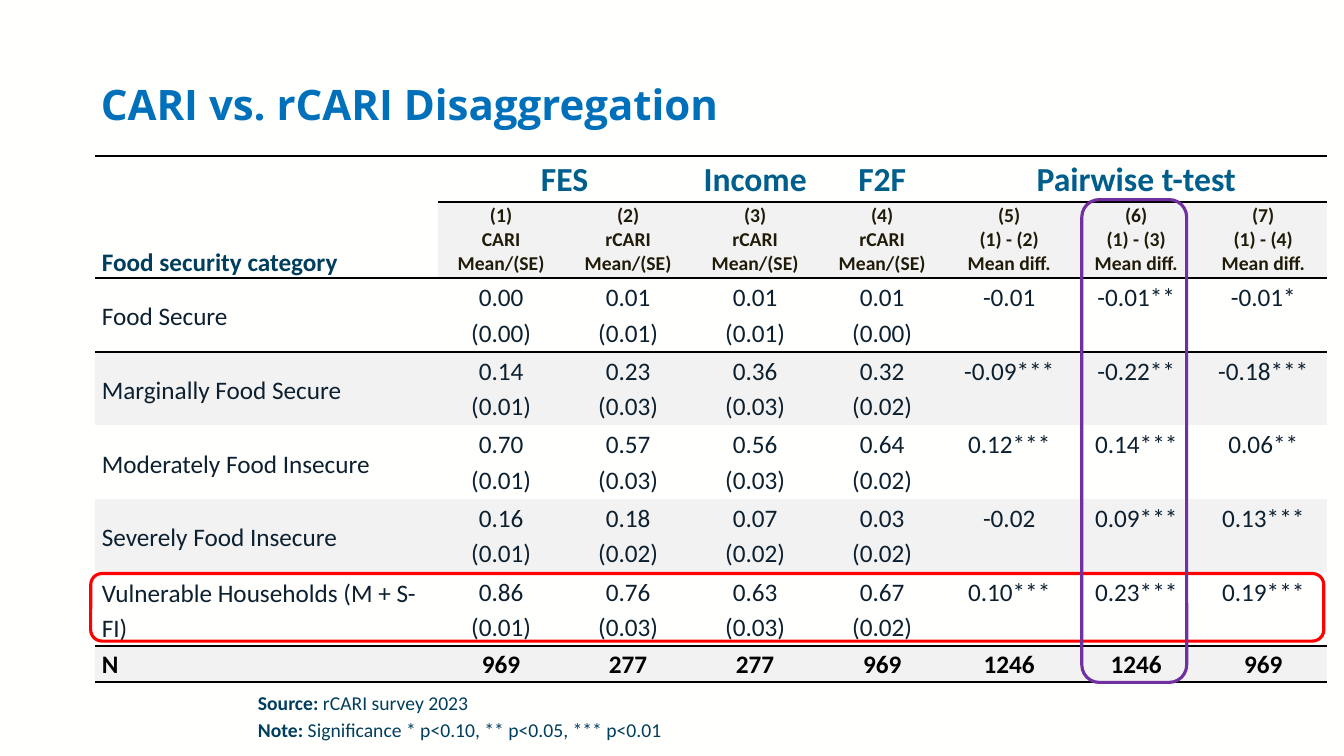
from lxml import etree
from pptx import Presentation
from pptx import util as u
from pptx.dml import color as dml
from pptx.enum import shapes, text
from pptx.oxml import ns

HUES = {"page": "FFFFFE", "title": "0070BA", "navy": "003E5E", "group": "005E8D",
        "head": "211B09", "body": "0D2030", "ink": "000000", "band": "F2F2F2",
        "red": "FF0000", "plum": "7030A0"}
PLAIN = "{2D5ABB26-0587-4C30-8999-92F81FD0307C}"
MID, TOP, LOW = text.MSO_ANCHOR.MIDDLE, text.MSO_ANCHOR.TOP, text.MSO_ANCHOR.BOTTOM
LEFT, MIDST, FULL = text.PP_ALIGN.LEFT, text.PP_ALIGN.CENTER, text.PP_ALIGN.JUSTIFY
WIDTHS = [3.4] + [1.26] * 7
HEIGHTS = [0.45, 0.76] + [0.73] * 5 + [0.36]
GROUPS = [("FES", 1, 2), ("Income", 3, 3), ("F2F", 4, 4), ("Pairwise t-test", 5, 7)]
HEADS = ["CARI"] + ["rCARI"] * 3 + ["(1) - (2)", "(1) - (3)", "(1) - (4)"]
ROWS = [
    ("Food Secure", ["0.00", "0.01", "0.01", "0.01"],
     ["(0.00)", "(0.01)", "(0.01)", "(0.00)"], ["-0.01", "-0.01**", "-0.01*"]),
    ("Marginally Food Secure", ["0.14", "0.23", "0.36", "0.32"],
     ["(0.01)", "(0.03)", "(0.03)", "(0.02)"], ["-0.09***", "-0.22**", "-0.18***"]),
    ("Moderately Food Insecure", ["0.70", "0.57", "0.56", "0.64"],
     ["(0.01)", "(0.03)", "(0.03)", "(0.02)"], ["0.12***", "0.14***", "0.06**"]),
    ("Severely Food Insecure", ["0.16", "0.18", "0.07", "0.03"],
     ["(0.01)", "(0.02)", "(0.02)", "(0.02)"], ["-0.02", "0.09***", "0.13***"]),
    ("Vulnerable Households (M + S-FI)", ["0.86", "0.76", "0.63", "0.67"],
     ["(0.01)", "(0.03)", "(0.03)", "(0.02)"], ["0.10***", "0.23***", "0.19***"]),
]
TOTALS = ["N", "969", "277", "277", "969", "1246", "1246", "969"]
NOTES = [("Source:", " rCARI survey 2023"),
         ("Note:", " Significance * p<0.10, ** p<0.05, *** p<0.01")]


def tint(name):
    """Return the named colour."""
    return dml.RGBColor.from_string(HUES[name])


def put(para, words, size, hue, bold=False, face="Calibri"):
    """Add one formatted run to a paragraph."""
    run = para.add_run()
    run.text = words
    font = run.font
    font.size, font.bold, font.name = u.Pt(size), bold, face
    font.color.rgb = tint(hue)


def rule(cell, side, kind="sng"):
    """Draw a black border on one side of a cell."""
    edge = etree.SubElement(cell._tc.get_or_add_tcPr(), ns.qn("a:ln" + side),
                            w=str(u.Pt(1.5)), cmpd=kind)
    fill = etree.SubElement(edge, ns.qn("a:solidFill"))
    etree.SubElement(fill, ns.qn("a:srgbClr"), val=HUES["ink"])


def write(cell, lines, size, hue, bold=False, align=MIDST, anchor=MID, space=1.15, after=0):
    """Fill a cell with one paragraph for each line."""
    cell.vertical_anchor = anchor
    frame = cell.text_frame
    for i, line in enumerate(lines):
        para = frame.add_paragraph() if i else frame.paragraphs[0]
        para.alignment, para.line_spacing = align, space
        if after:
            para.space_after = u.Pt(after)
        put(para, line, size, hue, bold)


def shade(grid):
    """Set the margins, borders and band fill of every cell."""
    last = len(HEIGHTS) - 1
    for r in range(len(HEIGHTS)):
        for c in range(len(WIDTHS)):
            cell = grid.cell(r, c)
            cell.margin_left = cell.margin_right = u.Inches(0.07)
            cell.margin_top = cell.margin_bottom = 0
            if r in (0, 2, last) or (r == 1 and c):
                rule(cell, "T", "dbl" if r == last else "sng")
            if r in (1, last - 1, last) or (r == 0 and c):
                rule(cell, "B", "dbl" if r == last - 1 else "sng")
            if r % 2 and (r > 1 or c):
                cell.fill.solid()
                cell.fill.fore_color.rgb = tint("band")
            else:
                cell.fill.background()


def draw_table(slide, x, y):
    """Build the table of means and tests."""
    frame = slide.shapes.add_table(len(HEIGHTS), len(WIDTHS), u.Inches(x), u.Inches(y),
                                   u.Inches(sum(WIDTHS)), u.Inches(sum(HEIGHTS)))
    grid = frame.table
    grid.first_row = grid.horz_banding = False
    grid._tbl.tblPr.find(ns.qn("a:tableStyleId")).text = PLAIN
    for col, wide in zip(grid.columns, WIDTHS):
        col.width = u.Inches(wide)
    for row, tall in zip(grid.rows, HEIGHTS):
        row.height = u.Inches(tall)
    shade(grid)
    grid.cell(0, 0).merge(grid.cell(1, 0))
    write(grid.cell(0, 0), ["Food security category"], 18, "navy", True, LEFT, LOW)
    for label, start, end in GROUPS:
        cell = grid.cell(0, start)
        if end > start:
            cell.merge(grid.cell(0, end))
        write(cell, [label], 24, "group", True, space=1.07, after=8)
    for c, head in enumerate(HEADS, 1):
        stat = "Mean/(SE)" if c < 5 else "Mean diff."
        write(grid.cell(1, c), [f"({c})", head, stat], 14, "head", True, space=1.0)
    for r, (label, means, errors, diffs) in enumerate(ROWS, 2):
        write(grid.cell(r, 0), [label], 18, "body", align=LEFT)
        for c, lines in enumerate([*zip(means, errors), *zip(diffs)], 1):
            write(grid.cell(r, c), lines, 18, "body", anchor=TOP)
    for c, total in enumerate(TOTALS):
        write(grid.cell(len(HEIGHTS) - 1, c), [total], 18, "ink", True,
              MIDST if c else LEFT, space=1.07, after=8)


def draw_title(slide, x, y, w, h):
    """Place and format the title."""
    title = slide.shapes.title
    title.left, title.top, title.width, title.height = map(u.Inches, (x, y, w, h))
    title.text_frame.vertical_anchor = MID
    para = title.text_frame.paragraphs[0]
    para.alignment, para.line_spacing = LEFT, 0.9
    put(para, "CARI vs. rCARI Disaggregation", 30, "title", True, "Open Sans")


def draw_ring(slide, x, y, w, h, hue):
    """Outline a region with a rounded box."""
    ring = slide.shapes.add_shape(shapes.MSO_SHAPE.ROUNDED_RECTANGLE,
                                  *map(u.Inches, (x, y, w, h)))
    ring.shadow.inherit = False
    ring.fill.background()
    ring.line.color.rgb = tint(hue)
    ring.line.width = u.Pt(2.25)


def draw_notes(slide, x, y, w, h):
    """Write the source and note lines."""
    frame = slide.shapes.add_textbox(*map(u.Inches, (x, y, w, h))).text_frame
    frame.word_wrap = True
    for i, (label, words) in enumerate(NOTES):
        para = frame.add_paragraph() if i else frame.paragraphs[0]
        para.alignment, para.line_spacing = FULL, 1.15
        put(para, label, 14, "navy", True)
        put(para, words, 14, "navy")


def main():
    """Build and save the slide."""
    deck = Presentation()
    deck.slide_width, deck.slide_height = u.Inches(13.33), u.Inches(7.5)
    slide = deck.slides.add_slide(deck.slide_layouts[5])
    slide.background.fill.solid()
    slide.background.fill.fore_color.rgb = tint("page")
    draw_table(slide, 0.94, 1.55)
    draw_ring(slide, 0.9, 5.69, 12.23, 0.67, "red")
    draw_title(slide, 0.9, 0.43, 11.53, 1.26)
    draw_ring(slide, 10.73, 1.98, 1.04, 4.79, "plum")
    draw_notes(slide, 2.46, 6.77, 6.67, 0.63)
    deck.save("out.pptx")


if __name__ == "__main__":
    main()
